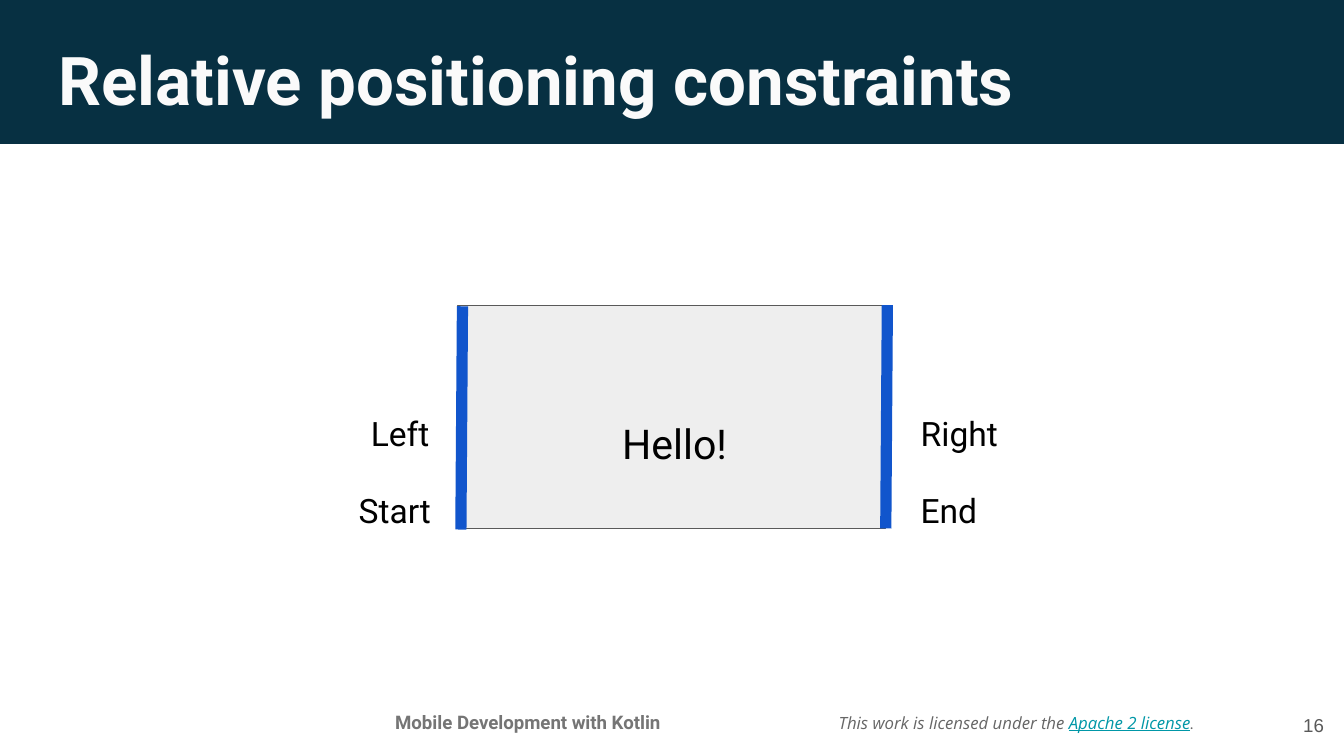
import pptx
import pptx.dml.color
import pptx.enum.shapes
import pptx.enum.text
import pptx.oxml.ns
import pptx.util
from lxml import etree
from pptx.util import Cm

COLORS = {
    "header": "073042",
    "title": "FAFAFA",
    "widget": "EEEEEE",
    "outline": "595959",
    "edge": "1155CC",
    "text": "000000",
    "course": "757575",
    "license": "666666",
    "link": "0097A7",
}
ALIGN = pptx.enum.text.PP_ALIGN
ANCHOR = pptx.enum.text.MSO_ANCHOR
INSET = 0.25


def rgb(name):
    return pptx.dml.color.RGBColor.from_string(COLORS[name])


def format_run(run, size, color, font="Roboto", bold=False, italic=False, underline=False):
    run.font.size = pptx.util.Pt(size)
    run.font.name = font
    run.font.color.rgb = rgb(color)
    run.font.bold = bold
    run.font.italic = italic
    run.font.underline = underline


def add_text(slide, box, text, size, color, align=ALIGN.LEFT, anchor=ANCHOR.MIDDLE, **style):
    frame = slide.shapes.add_textbox(*map(Cm, box)).text_frame
    frame.word_wrap = True
    frame.vertical_anchor = anchor
    frame.margin_left = frame.margin_right = Cm(INSET)
    frame.margin_top = frame.margin_bottom = Cm(INSET)
    frame.text = text
    paragraph = frame.paragraphs[0]
    paragraph.alignment = align
    format_run(paragraph.runs[0], size, color, **style)
    return paragraph


def add_rectangle(slide, box, fill, outline=None):
    rectangle = slide.shapes.add_shape(
        pptx.enum.shapes.MSO_SHAPE.RECTANGLE, *map(Cm, box))
    rectangle.shadow.inherit = False
    rectangle.fill.solid()
    rectangle.fill.fore_color.rgb = rgb(fill)
    if outline:
        rectangle.line.color.rgb = rgb(outline)
        rectangle.line.width = pptx.util.Pt(0.75)
    else:
        rectangle.line.fill.background()


def add_edge(slide, start, end):
    edge = slide.shapes.add_connector(
        pptx.enum.shapes.MSO_CONNECTOR.STRAIGHT, *map(Cm, start + end))
    edge.line.color.rgb = rgb("edge")
    edge.line.width = pptx.util.Pt(6)
    etree.SubElement(edge._element.spPr, pptx.oxml.ns.qn("a:effectLst"))


def add_header(slide, box):
    left, top, width, height = box
    add_rectangle(slide, box, "header")
    add_text(slide, (left + 0.86, top + 0.48, width - 1.73, 1.6),
             "Relative positioning constraints", 36, "title",
             anchor=ANCHOR.TOP, bold=True)


def add_widget(slide, box):
    left, top, width, height = box
    bottom = top + height
    right = left + width
    add_rectangle(slide, box, "widget", "outline")

    label_height = 1.3
    labels = [
        ("Left", left - 1.9, 2.41, 1.8),
        ("Start", left - 2.13, 3.88, 2.34),
        ("Right", right + 0.41, 2.41, 3.63),
        ("End", right + 0.41, 3.88, 3.63),
    ]
    for label, label_left, middle, label_width in labels:
        add_text(slide, (label_left, top + middle - label_height / 2, label_width, label_height),
                 label, 18, "text")

    add_text(slide, (left + 0.05, top + 1.34, width, 1.98), "Hello!", 22, "text",
             align=ALIGN.CENTER, anchor=ANCHOR.BOTTOM)
    for edge_left, drop in ((left + 0.05, 0.02), (right, 0)):
        add_edge(slide, (edge_left, bottom + drop), (edge_left + 0.03, top + drop))


def add_footer(slide, box):
    left, top, width, height = box
    add_text(slide, (left + 6.38, top + 0.17, 7.19, 0.81),
             "Mobile Development with Kotlin", 10, "course",
             align=ALIGN.CENTER, anchor=ANCHOR.TOP, bold=True)

    license_note = add_text(slide, (left + 15.6, top, 7.47, 1.19),
                            "This work is licensed under the ", 9, "license",
                            font="Open Sans", italic=True)
    license_name = license_note.add_run()
    license_name.text = "Apache 2 license"
    format_run(license_name, 9, "link", font="Open Sans", italic=True, underline=True)
    full_stop = license_note.add_run()
    full_stop.text = "."
    format_run(full_stop, 9, "license", italic=True)

    add_text(slide, (left + width - 1.65, top + 0.1, 1.52, 1.09), "16", 10, "outline",
             align=ALIGN.RIGHT, font="Arial")


def main():
    presentation = pptx.Presentation()
    presentation.slide_width = Cm(25.4)
    presentation.slide_height = Cm(14.29)
    slide = presentation.slides.add_slide(presentation.slide_layouts[6])
    add_header(slide, (0, 0, 25.4, 2.72))
    add_widget(slide, (8.66, 5.77, 8.08, 4.22))
    add_footer(slide, (0, 13.06, 25.4, 1.23))
    presentation.save("out.pptx")


if __name__ == "__main__":
    main()
